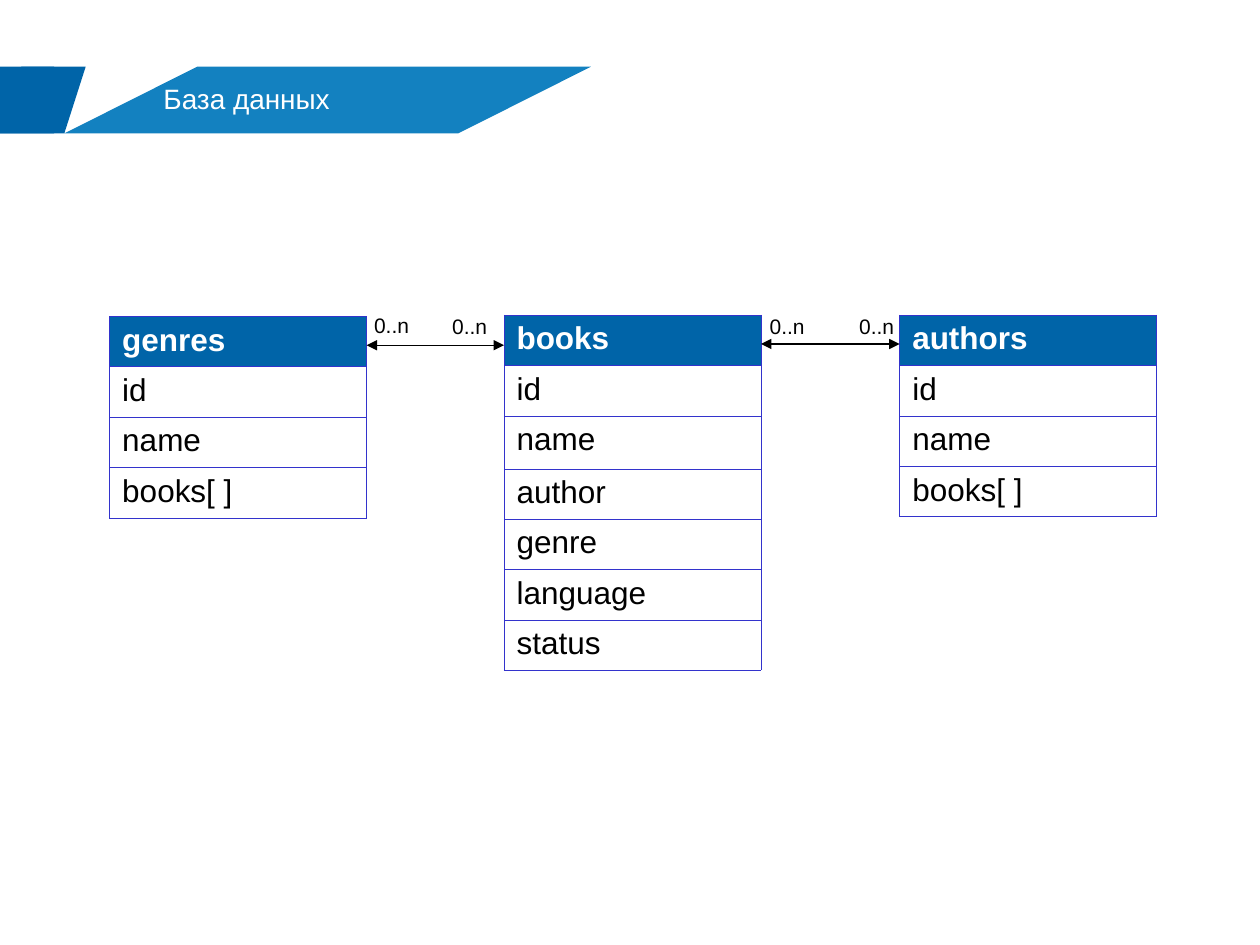
"""Build a slide with a database diagram of three linked tables."""
from lxml.etree import SubElement
from pptx import Presentation
from pptx.dml.color import RGBColor
from pptx.enum.shapes import MSO_CONNECTOR, MSO_SHAPE
from pptx.enum.text import MSO_ANCHOR, PP_ALIGN
from pptx.oxml.ns import qn
from pptx.util import Inches, Pt

NAVY = RGBColor(0x00, 0x64, 0xA8)
BLUE = RGBColor(0x13, 0x81, 0xC0)
EDGE = RGBColor(0x33, 0x33, 0xCC)
WHITE = RGBColor(0xFF, 0xFF, 0xFF)
BLACK = RGBColor(0x00, 0x00, 0x00)


def style(para, size, color, bold=False):
    font = para.font
    font.name = "Arial"
    font.size = Pt(size)
    font.bold = bold
    font.color.rgb = color


def border(cell):
    props = cell._tc.get_or_add_tcPr()
    for side in ("lnL", "lnR", "lnT", "lnB"):
        line = SubElement(props, qn(f"a:{side}"), w=str(Pt(0.23)))
        fill = SubElement(line, qn("a:solidFill"))
        SubElement(fill, qn("a:srgbClr"), val=str(EDGE))


deck = Presentation()
deck.slide_width = Inches(10)
deck.slide_height = Inches(7.5)
slide = deck.slides.add_slide(deck.slide_layouts[6])
shapes = slide.shapes

bands = [
    (MSO_SHAPE.PARALLELOGRAM, 0.51, 4.18, 1.99, BLUE, "База данных"),
    (MSO_SHAPE.PARALLELOGRAM, 0, 0.68, 0.32, NAVY, ""),
    (MSO_SHAPE.RECTANGLE, 0, 0.43, None, NAVY, ""),
]
for kind, left, width, slant, color, title in bands:
    band = shapes.add_shape(kind, Inches(left), Inches(0.53), Inches(width), Inches(0.53))
    band.shadow.inherit = False
    band.fill.solid()
    band.fill.fore_color.rgb = color
    band.line.fill.background()
    if slant:
        band.adjustments[0] = slant
    if title:
        frame = band.text_frame
        frame.text = title
        frame.vertical_anchor = MSO_ANCHOR.MIDDLE
        frame.margin_left = frame.margin_right = 0
        frame.margin_top = Inches(0.05)
        frame.margin_bottom = Inches(0.08)
        frame.paragraphs[0].alignment = PP_ALIGN.LEFT
        style(frame.paragraphs[0], 16, WHITE)

tables = [
    (4, 2.5, ["books", "id", "name", "author", "genre", "language", "status"]),
    (7.14, 2.5, ["authors", "id", "name", "books[ ]"]),
    (0.87, 2.51, ["genres", "id", "name", "books[ ]"]),
]
for left, top, names in tables:
    count = len(names)
    table = shapes.add_table(
        count, 1, Inches(left), Inches(top), Inches(2.04), Inches(0.4 * count)
    ).table
    table.first_row = False
    table.horz_banding = False
    for row, name in enumerate(names):
        table.rows[row].height = Inches(0.42 if name == "name" and count > 4 else 0.4)
        cell = table.cell(row, 0)
        cell.text_frame.text = name
        head = row == 0
        style(cell.text_frame.paragraphs[0], 18, WHITE if head else BLACK, head)
        border(cell)
        if head:
            cell.fill.solid()
            cell.fill.fore_color.rgb = NAVY
        else:
            cell.fill.background()

for start, end, top in [(2.91, 4, 2.74), (6.04, 7.14, 2.73)]:
    link = shapes.add_connector(
        MSO_CONNECTOR.STRAIGHT, Inches(start), Inches(top), Inches(end), Inches(top)
    )
    link.line.color.rgb = BLACK
    link.line.width = Pt(0.75)
    for tip in ("headEnd", "tailEnd"):
        SubElement(link.line._get_or_add_ln(), qn(f"a:{tip}"), type="triangle")
    SubElement(link._element.spPr, qn("a:effectLst"))

for left, top in [(2.87, 2.45), (3.49, 2.46), (6.01, 2.46), (6.72, 2.46)]:
    label = shapes.add_textbox(Inches(left), Inches(top), Inches(0.58), Inches(0.29))
    label.text_frame.word_wrap = True
    label.text_frame.text = "0..n"
    para = label.text_frame.paragraphs[0]
    para.line_spacing = 0.93
    style(para, 12, BLACK)

deck.save("out.pptx")
